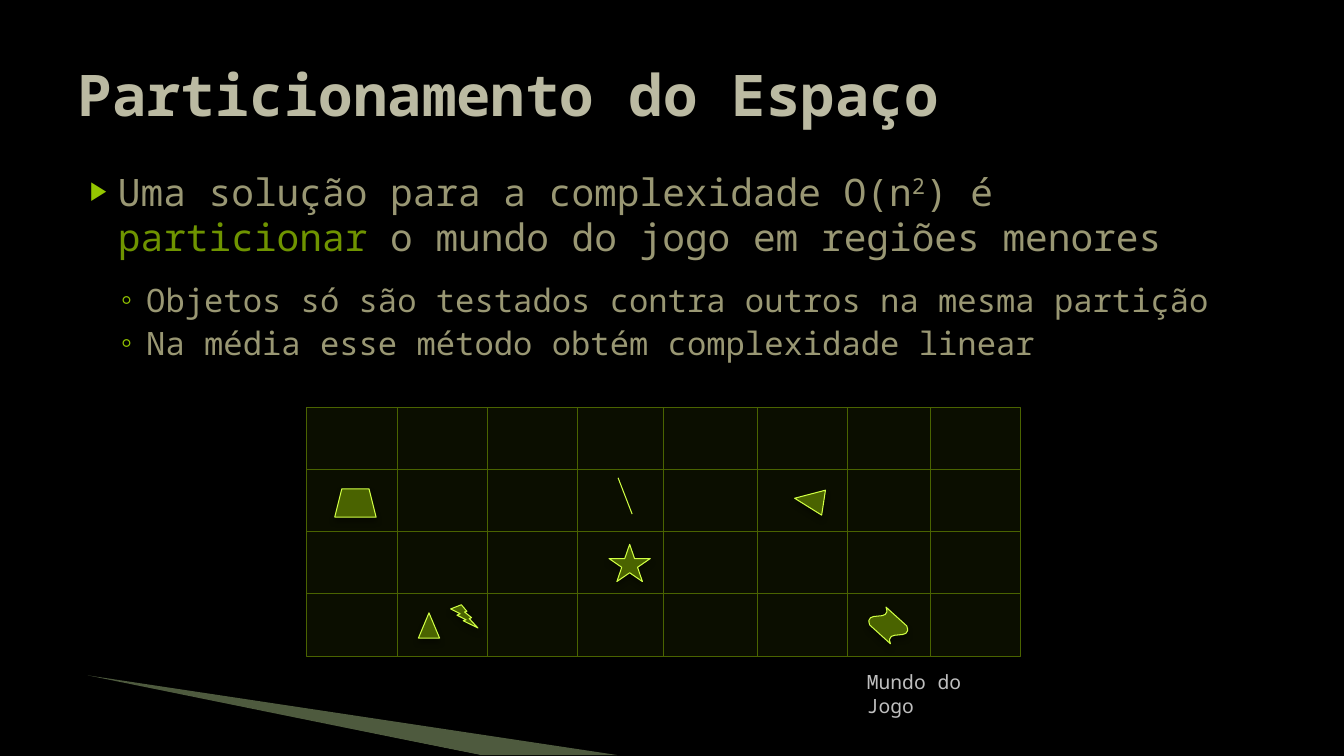
from lxml.etree import SubElement
from pptx import Presentation
from pptx.dml.color import RGBColor
from pptx.enum.shapes import MSO_CONNECTOR, MSO_SHAPE
from pptx.enum.text import MSO_ANCHOR, MSO_AUTO_SIZE, PP_ALIGN
from pptx.oxml.ns import qn
from pptx.util import Inches, Pt

FONT = "Noto Sans Mono"
OLIVE, LIME, GREEN, TEXT = "4A6300", "D0FF44", "94C600", "999773"


def rgb(value):
    return RGBColor.from_string(value)


def add_run(p, text, size, color, bold=False, baseline=None):
    r = p.add_run()
    r.text = text
    f = r.font
    f.name, f.size, f.bold = FONT, Pt(size), bold
    f.color.rgb = rgb(color)
    if baseline:
        r.font._element.set("baseline", str(baseline * 1000))
    return r


def set_bullet(p, char, left, hanging, size=100):
    pPr = p._p.get_or_add_pPr()
    pPr.set("marL", str(Inches(left)))
    pPr.set("indent", str(-Inches(hanging)))
    color = SubElement(pPr, qn("a:buClr"))
    SubElement(color, qn("a:srgbClr"), val=GREEN)
    SubElement(pPr, qn("a:buSzPct"), val=str(size * 1000))
    SubElement(pPr, qn("a:buFont"), typeface="Arial")
    SubElement(pPr, qn("a:buChar"), char=char)


class SlideBuilder:
    def __init__(self, prs):
        self.s = prs.slides.add_slide(prs.slide_layouts[1])
        bg = self.s.background.fill
        bg.solid()
        bg.fore_color.rgb = rgb("000000")
        self.title, self.body = self.s.placeholders
        self.body.element.addnext(self.title.element)

    def group(self):
        self.target = self.s.shapes.add_group_shape()
        return self.target

    def fill(self, sp, color, alpha=100):
        sp.fill.solid()
        sp.fill.fore_color.rgb = rgb(color)
        if alpha < 100:
            clr = sp.element.spPr.find(qn("a:solidFill"))[0]
            SubElement(clr, qn("a:alpha"), val=str(alpha * 1000))

    def wedge(self, points, color, alpha=100):
        pts = [(Inches(x), Inches(y)) for x, y in points]
        builder = self.target.shapes.build_freeform(*pts[0])
        builder.add_line_segments(pts[1:], close=True)
        sp = builder.convert_to_shape()
        sp.shadow.inherit = False
        self.fill(sp, color, alpha)
        sp.line.fill.background()

    def shape(self, kind, box, line=LIME, alpha=100, rotation=0):
        sp = self.target.shapes.add_shape(kind, *map(Inches, box))
        sp.rotation = rotation
        self.fill(sp, OLIVE, alpha)
        sp.line.color.rgb = rgb(line)
        sp.line.width = Pt(0.75)
        sp.shadow.inherit = False
        effects = sp.element.spPr.find(qn("a:effectLst"))
        shadow = SubElement(effects, qn("a:outerShdw"), blurRad=str(Pt(4)),
                            dist=str(Pt(3)), dir="5400000", rotWithShape="0")
        clr = SubElement(shadow, qn("a:srgbClr"), val="000000")
        SubElement(clr, qn("a:alpha"), val="35000")

    def line(self, x1, y1, x2, y2, color=OLIVE):
        ends = map(Inches, (x1, y1, x2, y2))
        c = self.target.shapes.add_connector(MSO_CONNECTOR.STRAIGHT, *ends)
        c.line.color.rgb = rgb(color)
        c.line.width = Pt(0.75)
        SubElement(c.element.spPr, qn("a:effectLst"))

    def label(self, text, box):
        tf = self.target.shapes.add_textbox(*map(Inches, box)).text_frame
        tf.word_wrap = True
        add_run(tf.paragraphs[0], text, 14, "BFBFBF")

    def place(self, ph, box, anchor):
        ph.left, ph.top, ph.width, ph.height = map(Inches, box)
        tf = ph.text_frame
        tf.word_wrap = True
        tf.auto_size = MSO_AUTO_SIZE.NONE
        tf.vertical_anchor = anchor
        return tf

    def heading(self, text):
        tf = self.place(self.title, (0.67, 0.3, 12, 1.25), MSO_ANCHOR.MIDDLE)
        p = tf.paragraphs[0]
        p.alignment = PP_ALIGN.LEFT
        add_run(p, text, 41, "BBBAA2", bold=True)

    def bullets(self, items):
        tf = self.place(self.body, (0.67, 1.62, 12, 5.75), MSO_ANCHOR.TOP)
        p = tf.paragraphs[0]
        p.space_before, p.space_after = Pt(0), Pt(12)
        set_bullet(p, "▶", 0.4, 0.28, 68)
        add_run(p, "Uma solução para a complexidade O(n", 27, TEXT)
        add_run(p, "2", 27, TEXT, baseline=30)
        add_run(p, ") é ", 27, TEXT)
        p.add_line_break()
        add_run(p, "particionar ", 27, "6F9400")
        add_run(p, "o mundo do jogo em regiões menores", 27, TEXT)
        for item in items:
            p = tf.add_paragraph()
            p.level = 1
            p.space_before, p.space_after = Pt(3.2), Pt(0)
            set_bullet(p, "◦", 0.68, 0.25)
            add_run(p, item, 23, TEXT)


def main():
    prs = Presentation()
    prs.slide_width, prs.slide_height = Inches(13.33), Inches(7.5)
    slide = SlideBuilder(prs)

    wedges = slide.group()
    slide.wedge([(0.87, 6.7), (6.12, 7.49), (4.76, 7.49)], "C3E19D", 40)
    slide.wedge([(0.84, 6.72), (4.76, 7.49), (3.94, 7.49)], "000000")
    slide.body.element.addprevious(wedges.element)

    slide.heading("Particionamento do Espaço")
    slide.bullets(["Objetos só são testados contra outros na mesma partição",
                   "Na média esse método obtém complexidade linear"])

    slide.group()
    left, top, width, height, rows = 3.04, 4.04, 7.08, 2.47, 4
    slide.shape(MSO_SHAPE.RECTANGLE, (left, top, width, height), OLIVE, 15)
    for x in (3.94, 4.84, 5.73, 6.58, 7.51, 8.41, 9.23):
        slide.line(x, top, x, top + height)
    for row in range(1, rows):
        y = top + row * height / rows
        slide.line(left, y, left + width, y)

    game_objects = [
        (MSO_SHAPE.ISOSCELES_TRIANGLE, (4.15, 6.08, 0.21, 0.25), 0),
        (MSO_SHAPE.STAR_5_POINT, (6.04, 5.4, 0.41, 0.37), 0),
        (MSO_SHAPE.LIGHTNING_BOLT, (4.47, 6, 0.27, 0.23), 0),
        (MSO_SHAPE.WAVE, (8.69, 6.02, 0.24, 0.37), 312.2),
        (MSO_SHAPE.ISOSCELES_TRIANGLE, (7.9, 4.82, 0.25, 0.29), 278.7),
        (MSO_SHAPE.TRAPEZOID, (3.32, 4.85, 0.41, 0.28), 0),
    ]
    for kind, box, rotation in game_objects:
        slide.shape(kind, box, rotation=rotation)
    slide.line(6.13, 4.74, 6.27, 5.1, LIME)
    slide.label("Mundo do Jogo", (8.5, 6.6, 1.65, 0.3))
    prs.save("out.pptx")


if __name__ == "__main__":
    main()
